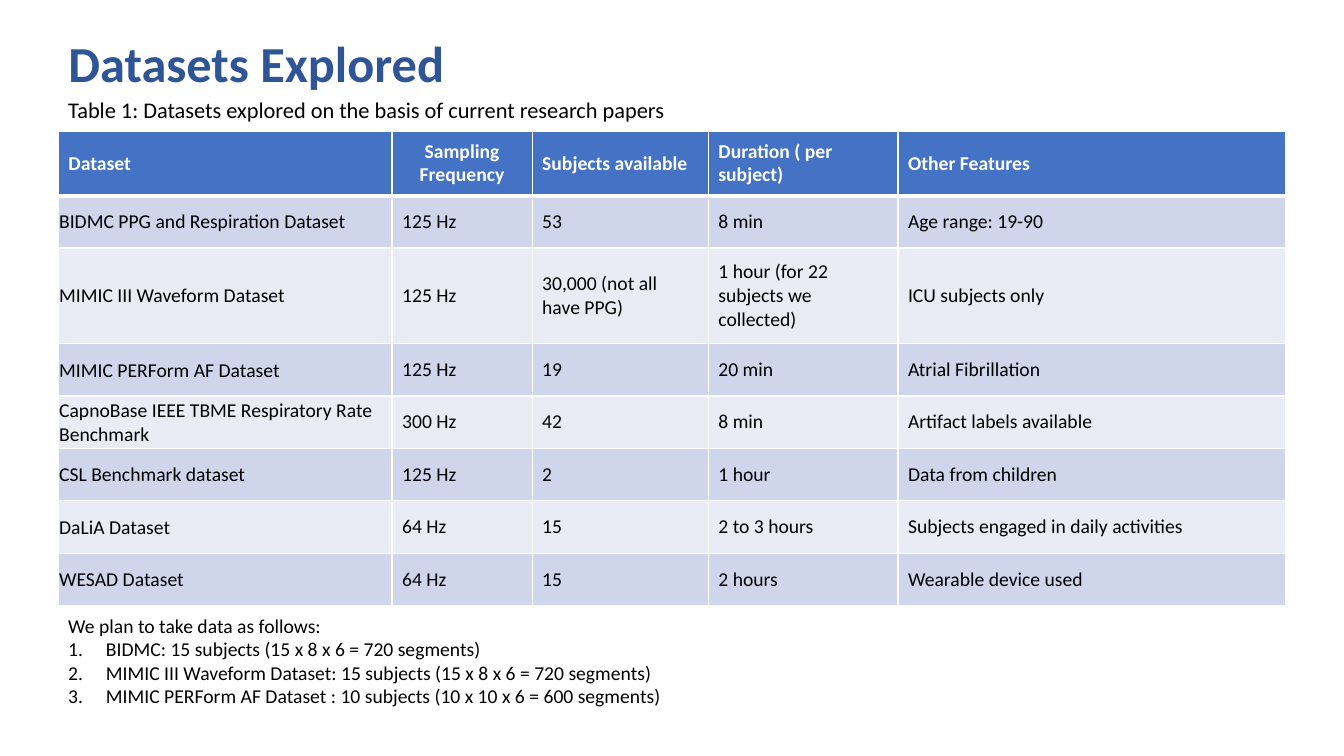
from dataclasses import dataclass

from lxml import etree
from pptx import Presentation
from pptx.dml.color import RGBColor
from pptx.enum.text import MSO_ANCHOR, MSO_AUTO_SIZE, PP_ALIGN
from pptx.oxml.ns import qn
from pptx.util import Cm, Pt

MIDDLE = MSO_ANCHOR.MIDDLE
NO_FIT = MSO_AUTO_SIZE.NONE
LEFT, CENTER = PP_ALIGN.LEFT, PP_ALIGN.CENTER
TITLE_ONLY = 5


@dataclass(frozen=True)
class Theme:
    """Colours and type sizes of the slide."""
    font: str = "Calibri"
    title: str = "2F5597"
    text: str = "000000"
    white: str = "FFFFFF"
    header: str = "4472C4"
    bands: tuple = ("CFD5EA", "E9EBF5")
    title_size: int = 36
    caption_size: int = 16
    body_size: int = 14
    thin: int = 1
    thick: int = 3


THEME = Theme()

HEADINGS = ("Dataset", "Sampling Frequency", "Subjects available",
            "Duration ( per subject)", "Other Features")
DATASETS = (
    ("BIDMC PPG and Respiration Dataset", "125 Hz", "53", "8 min", "Age range: 19-90"),
    ("MIMIC III Waveform Dataset", "125 Hz", "30,000 (not all have PPG)",
     "1 hour (for 22 subjects we collected)", "ICU subjects only"),
    ("MIMIC PERForm AF Dataset", "125 Hz", "19", "20 min", "Atrial Fibrillation"),
    ("CapnoBase IEEE TBME Respiratory Rate Benchmark", "300 Hz", "42", "8 min",
     "Artifact labels available"),
    ("CSL Benchmark dataset", "125 Hz", "2", "1 hour", "Data from children"),
    ("DaLiA Dataset", "64 Hz", "15", "2 to 3 hours", "Subjects engaged in daily activities"),
    ("WESAD Dataset", "64 Hz", "15", "2 hours", "Wearable device used"),
)
COLUMN_WIDTHS = (8.41, 3.53, 4.44, 4.78, 9.78)
HEADER_HEIGHT, ROW_HEIGHT, TALL_HEIGHT = 1.63, 1.32, 2.41
TALL_ROW = 2

PLAN_INTRO = "We plan to take data as follows:"
PLAN_STEPS = (
    "BIDMC: 15 subjects (15 x 8 x 6 = 720 segments)",
    "MIMIC III Waveform Dataset: 15 subjects (15 x 8 x 6 = 720 segments)",
    "MIMIC PERForm AF Dataset : 10 subjects (10 x 10 x 6 = 600 segments)",
)


def style_para(para, size, color, bold=False, align=LEFT):
    """Set the font and alignment of a paragraph."""
    para.alignment = align
    para.font.name = THEME.font
    para.font.size = Pt(size)
    para.font.bold = bold
    para.font.color.rgb = RGBColor.from_string(color)


def add_title(page, text, left, top, width, height):
    """Place and format the title placeholder."""
    title = page.shapes.title
    title.left, title.top, title.width, title.height = map(Cm, (left, top, width, height))
    frame = title.text_frame
    frame.text = text
    frame.auto_size = NO_FIT
    frame.vertical_anchor = MIDDLE
    para = frame.paragraphs[0]
    para.line_spacing = 0.9
    style_para(para, THEME.title_size, THEME.title, bold=True)


def add_text(page, lines, size, left, top, width, height):
    """Add a wrapping text box and return its paragraphs."""
    box = page.shapes.add_textbox(*map(Cm, (left, top, width, height)))
    frame = box.text_frame
    frame.word_wrap = True
    frame.text = "\n".join(lines)
    for para in frame.paragraphs:
        style_para(para, size, THEME.text)
    return frame.paragraphs


def number_para(para, indent):
    """Give a paragraph an automatic number and a hanging indent."""
    properties = para._p.get_or_add_pPr()
    properties.set("marL", str(Cm(indent)))
    properties.set("indent", str(-Cm(indent)))
    etree.SubElement(properties, qn("a:buFont"), typeface="+mj-lt")
    etree.SubElement(properties, qn("a:buAutoNum"), type="arabicPeriod")


def add_plan(page, left, top, width, height):
    """Add the introduction and the numbered plan."""
    paras = add_text(page, (PLAN_INTRO, *PLAN_STEPS), THEME.body_size,
                     left, top, width, height)
    for para in paras[1:]:
        number_para(para, 0.95)


def set_borders(cell, top, bottom):
    """Draw white borders around a cell."""
    widths = {"lnL": THEME.thin, "lnR": THEME.thin, "lnT": top, "lnB": bottom}
    properties = cell._tc.get_or_add_tcPr()
    for side, width in widths.items():
        line = etree.SubElement(properties, qn(f"a:{side}"), w=str(Pt(width)))
        fill = etree.SubElement(line, qn("a:solidFill"))
        etree.SubElement(fill, qn("a:srgbClr"), val=THEME.white)


def fill_cell(cell, text, row, column):
    """Write and format one cell according to its row and column."""
    is_header = row == 0
    set_borders(cell, THEME.thick if row == 1 else THEME.thin,
                THEME.thick if is_header else THEME.thin)
    cell.fill.solid()
    color = THEME.header if is_header else THEME.bands[(row - 1) % 2]
    cell.fill.fore_color.rgb = RGBColor.from_string(color)
    cell.text = text
    cell.vertical_anchor = MIDDLE
    if column == 0 and not is_header:
        cell.margin_left = cell.margin_top = cell.margin_right = Cm(0.02)
        cell.margin_bottom = 0
    style_para(cell.text_frame.paragraphs[0], THEME.body_size,
               THEME.white if is_header else THEME.text, is_header,
               CENTER if is_header and column == 1 else LEFT)


def add_dataset_table(page, left, top, width, height):
    """Add the table of datasets."""
    records = (HEADINGS, *DATASETS)
    table = page.shapes.add_table(len(records), len(HEADINGS),
                                  *map(Cm, (left, top, width, height))).table
    for column, column_width in zip(table.columns, COLUMN_WIDTHS):
        column.width = Cm(column_width)
    special_heights = {0: HEADER_HEIGHT, TALL_ROW: TALL_HEIGHT}
    for row, record in enumerate(records):
        table.rows[row].height = Cm(special_heights.get(row, ROW_HEIGHT))
        for column, text in enumerate(record):
            fill_cell(table.cell(row, column), text, row, column)


def main():
    """Build the deck and save it."""
    deck = Presentation()
    deck.slide_width, deck.slide_height = Cm(33.87), Cm(19.05)
    page = deck.slides.add_slide(deck.slide_layouts[TITLE_ONLY])
    left, width = 1.47, sum(COLUMN_WIDTHS)
    table_height = HEADER_HEIGHT + TALL_HEIGHT + ROW_HEIGHT * (len(DATASETS) - 1)
    add_title(page, "Datasets Explored", left, 0.58, 29.21, 2.18)
    add_dataset_table(page, left, 3.3, width, table_height)
    add_text(page, ("Table 1: Datasets explored on the basis of current research papers",),
             THEME.caption_size, left, 2.29, 26.77, 0.94)
    add_plan(page, left, 15.34, width, 3.7)
    deck.save("out.pptx")


if __name__ == "__main__":
    main()
